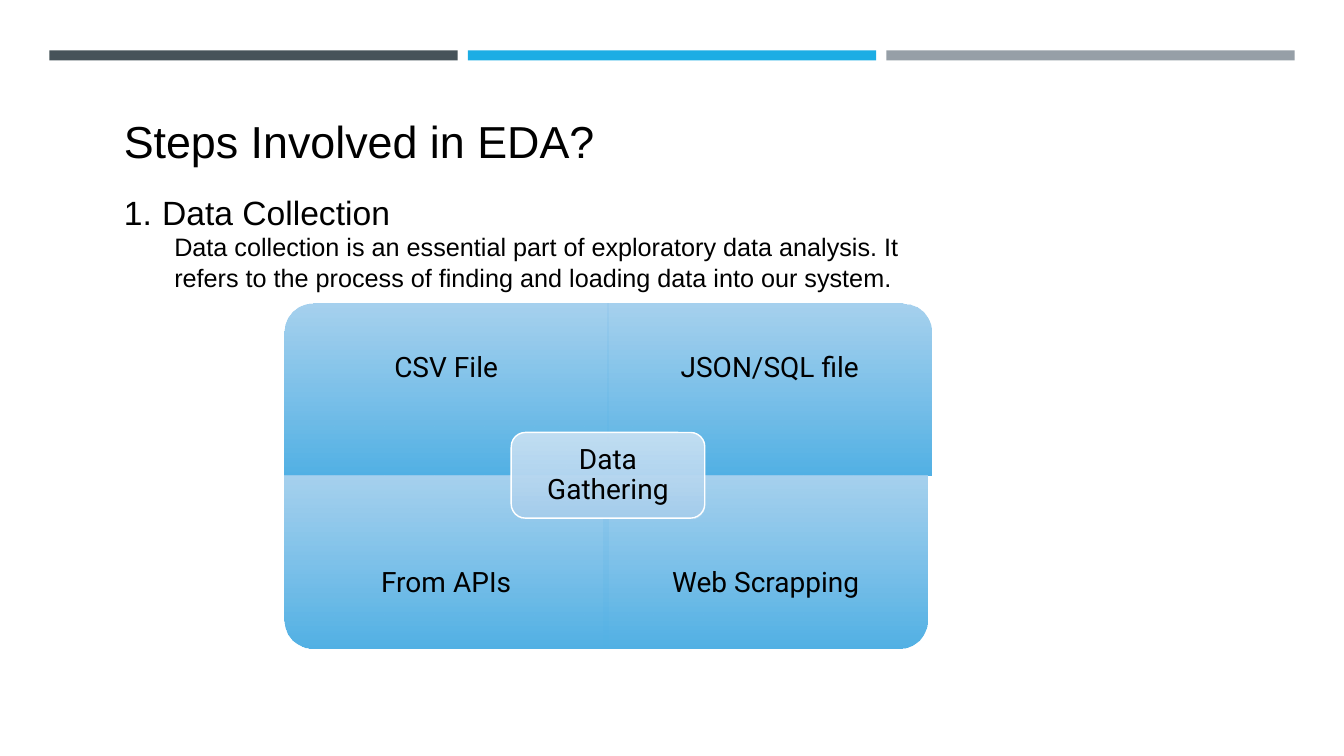
"""Build the data collection slide with its four-part data gathering matrix."""
from lxml.etree import SubElement
from pptx import Presentation
from pptx.dml.color import RGBColor
from pptx.enum.shapes import MSO_SHAPE
from pptx.enum.text import MSO_ANCHOR, PP_ALIGN
from pptx.oxml.ns import qn
from pptx.util import Inches, Pt

BLACK = RGBColor(0x00, 0x00, 0x00)
WHITE = RGBColor(0xFF, 0xFF, 0xFF)
SLATE = RGBColor(0x46, 0x53, 0x59)
BLUE = RGBColor(0x1C, 0xAD, 0xE4)
GREY = RGBColor(0x96, 0x9F, 0xA7)
SKY_TOP = RGBColor(0x9C, 0xCC, 0xED)
SKY_BOTTOM = RGBColor(0x52, 0xB1, 0xE5)
HUB_TOP = RGBColor(0xCB, 0xE2, 0xF4)
HUB_BOTTOM = RGBColor(0xA5, 0xCE, 0xED)


def add_gradient_shape(kind, left, top, width, height, colours, rotation=0):
    """Add a shape shaded from top to bottom, whichever way it is turned."""
    if rotation % 180:
        left, top = left + (width - height) / 2, top + (height - width) / 2
        width, height = height, width
    shape = page.shapes.add_shape(
        kind, Inches(left), Inches(top), Inches(width), Inches(height))
    shape.rotation = rotation
    shape.shadow.inherit = False
    shape.line.fill.background()
    shape.fill.gradient()
    shape.fill.gradient_angle = 270
    for stop, colour in zip(shape.fill.gradient_stops, colours):
        stop.color.rgb = colour
    gradient = shape._element.spPr.find(qn("a:gradFill"))
    gradient.set("rotWithShape", "0")
    first_colour = gradient.find(".//" + qn("a:srgbClr"))
    SubElement(first_colour, qn("a:alpha")).set("val", "90000")
    return shape


def add_text(left, top, width, height, lines, font, inset=None):
    """Add a text box from (text, size) lines; an inset centres the text."""
    box = page.shapes.add_textbox(
        Inches(left), Inches(top), Inches(width), Inches(height))
    frame = box.text_frame
    frame.word_wrap = True
    frame.text = "\n".join(text for text, size in lines)
    for para, (text, size) in zip(frame.paragraphs, lines):
        span = para.runs[0]
        span.font.name = font
        span.font.size = Pt(size)
        span.font.color.rgb = BLACK
        if inset:
            para.alignment = PP_ALIGN.CENTER
            para.line_spacing = 0.9
            para.space_after = Pt(7)
    if inset:
        frame.vertical_anchor = MSO_ANCHOR.MIDDLE
        frame.margin_left = frame.margin_right = Inches(inset)
        frame.margin_top = frame.margin_bottom = Inches(inset)
    return frame


deck = Presentation()
deck.slide_width = Inches(13.33)
deck.slide_height = Inches(7.5)
page = deck.slides.add_slide(deck.slide_layouts[6])

for column, colour in enumerate((SLATE, BLUE, GREY)):
    bar = page.shapes.add_shape(
        MSO_SHAPE.RECTANGLE, Inches(0.49 + column * 4.15), Inches(0.5),
        Inches(4.05), Inches(0.1))
    bar.shadow.inherit = False
    bar.fill.solid()
    bar.fill.fore_color.rgb = colour
    bar.line.fill.background()

add_text(1.13, 1.08, 7.43, 0.64, [("Steps Involved in EDA?", 32)], "Arial")

step = add_text(1.13, 1.85, 8.28, 1.11, [
    ("Data Collection", 24),
    ("Data collection is an essential part of exploratory data analysis. "
     "It refers to the process of finding and loading data into our system.", 18),
], "Arial")
heading, detail = step.paragraphs
heading_format = heading._p.get_or_add_pPr()
heading_format.set("marL", str(Inches(0.38)))
heading_format.set("indent", str(-Inches(0.38)))
SubElement(heading_format, qn("a:buAutoNum")).set("type", "arabicPeriod")
detail.level = 1
detail_format = detail._p.get_or_add_pPr()
detail_format.set("marL", str(Inches(0.5)))
detail_format.set("indent", "0")

MATRIX_LEFT, MATRIX_TOP = 2.82, 3.01
CELL_WIDTH, CELL_HEIGHT, LABEL_HEIGHT = 3.21, 1.71, 1.28
middle = MATRIX_LEFT + CELL_WIDTH
lower = MATRIX_TOP + CELL_HEIGHT
lower_label = lower + CELL_HEIGHT - LABEL_HEIGHT

quadrants = [
    ("CSV File", MATRIX_LEFT, MATRIX_TOP, MATRIX_TOP, 270),
    ("JSON/SQL file", middle, MATRIX_TOP, MATRIX_TOP, 0),
    ("From APIs", MATRIX_LEFT, lower, lower_label, 180),
    ("Web Scrapping", middle - 0.04, lower, lower_label, 90),
]
for label, left, top, label_top, rotation in quadrants:
    add_gradient_shape(MSO_SHAPE.ROUND_1_RECTANGLE, left, top, CELL_WIDTH,
                       CELL_HEIGHT, (SKY_TOP, SKY_BOTTOM), rotation)
    add_text(left, label_top, CELL_WIDTH, LABEL_HEIGHT, [(label, 20)],
             "Roboto", 0.16)

hub = add_gradient_shape(MSO_SHAPE.ROUNDED_RECTANGLE, 5.07, 4.29, 1.92, 0.85,
                         (HUB_TOP, HUB_BOTTOM))
hub.line.color.rgb = WHITE
hub.line.width = Pt(1)
add_text(5.11, 4.33, 1.84, 0.77, [("Data Gathering", 20)], "Roboto", 0.08)

deck.save("out.pptx")
